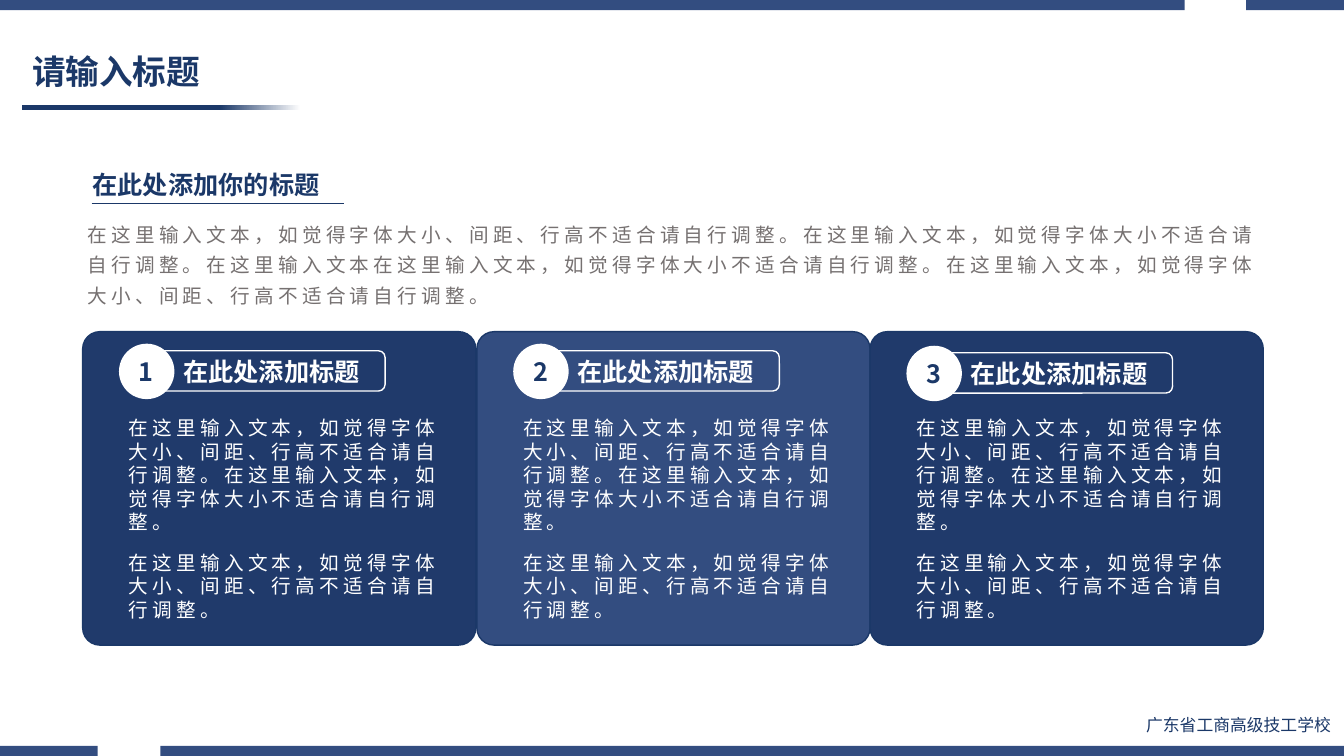
"""Builds a slide with a heading, an introduction and three numbered cards."""
from lxml import etree
from pptx import Presentation
from pptx.dml.color import RGBColor
from pptx.enum.shapes import MSO_CONNECTOR, MSO_SHAPE as SHAPE
from pptx.enum.text import MSO_ANCHOR as ANCHOR
from pptx.oxml.ns import qn
from pptx.util import Inches, Pt

NAVY = RGBColor(0x1B, 0x38, 0x68)
CARD_NAVY = RGBColor(0x20, 0x3A, 0x6B)
BLUE = RGBColor(0x33, 0x4D, 0x80)
GRAY = RGBColor(0x76, 0x71, 0x71)
WHITE = RGBColor(0xFF, 0xFF, 0xFF)
FONT = "Noto Sans CJK SC"

ADVICE = "在这里输入文本，如觉得字体大小、间距、行高不适合请自行调整。"
SHORT_ADVICE = "在这里输入文本，如觉得字体大小不适合请自行调整。"
INTRO = ADVICE + SHORT_ADVICE + "在这里输入文本" + SHORT_ADVICE + ADVICE

deck = Presentation()
deck.slide_width, deck.slide_height = Inches(13.33), Inches(7.5)
slide = deck.slides.add_slide(deck.slide_layouts[6])
shapes = slide.shapes


def add_text(box, paragraphs, size, color, bold=False, tracking=0, spacing=None, gap=0, anchor=ANCHOR.TOP):
    frame = shapes.add_textbox(*map(Inches, box)).text_frame
    frame.word_wrap = True
    frame.vertical_anchor = anchor
    for index, words in enumerate(paragraphs):
        paragraph = frame.add_paragraph() if index else frame.paragraphs[0]
        paragraph.line_spacing = spacing
        paragraph.space_before = Pt(gap if index else 0)
        paragraph.space_after = Pt(gap)
        run = paragraph.add_run()
        run.text = words
        font = run.font
        font.size, font.bold, font.name = Pt(size), bold, FONT
        font.color.rgb = color
        properties = run._r.get_or_add_rPr()
        properties.set("lang", "zh-CN")
        properties.set("spc", str(tracking * 100))
        etree.SubElement(properties, qn("a:ea")).set("typeface", FONT)


def add_panel(kind, box, fill=None, line=None):
    panel = shapes.add_shape(kind, *map(Inches, box))
    panel.shadow.inherit = False
    if fill is None:
        panel.fill.background()
    else:
        panel.fill.solid()
        panel.fill.fore_color.rgb = fill
    if line is None:
        panel.line.fill.background()
    else:
        panel.line.color.rgb = line
        panel.line.width = Pt(1)
    return panel


for top, spans in ((7.4, ((0, 0.97), (1.59, 13.33))), (0, ((0, 11.75), (12.36, 13.33)))):
    outline = shapes.build_freeform(0, Inches(top))
    for left, right in spans:
        outline.move_to(Inches(left), Inches(top))
        corners = ((right, top), (right, top + 0.1), (left, top + 0.1))
        outline.add_line_segments([(Inches(x), Inches(y)) for x, y in corners])
    band = outline.convert_to_shape()
    band.shadow.inherit = False
    band.fill.solid()
    band.fill.fore_color.rgb = BLUE
    band.line.fill.background()

add_text((11.27, 7.04, 2.04, 0.3), ["广东省工商高级技工学校"], 12, NAVY)
add_text((0.22, 0.45, 3.58, 0.56), ["请输入标题"], 24, NAVY, True, spacing=0.9, anchor=ANCHOR.MIDDLE)

title_rule = add_panel(SHAPE.RECTANGLE, (0.22, 1.04, 2.76, 0.05))
title_rule.fill.gradient()
title_rule.fill.gradient_angle = 0
for stop, position, color in zip(title_rule.fill.gradient_stops, (0.71, 1), (NAVY, WHITE)):
    stop.position = position
    stop.color.rgb = color

add_text((0.82, 1.63, 3.4, 0.4), ["在此处添加你的标题"], 18, NAVY, True)
heading_rule = shapes.add_connector(
    MSO_CONNECTOR.STRAIGHT, Inches(0.91), Inches(2.02), Inches(3.41), Inches(2.02))
heading_rule.line.color.rgb = NAVY
heading_rule.line.width = Pt(0.5)
etree.SubElement(heading_rule._element.spPr, qn("a:effectLst"))
add_text((0.77, 2.09, 11.94, 0.99), [INTRO], 14, GRAY, tracking=3, spacing=1.3, gap=6)

cards = ((0.82, CARD_NAVY, 0), (4.73, BLUE, 0), (8.63, CARD_NAVY, 0.02))
for number, (left, fill, drop) in enumerate(cards, 1):
    card = add_panel(SHAPE.ROUNDED_RECTANGLE, (left, 3.29, 3.9, 3.11), fill, NAVY)
    card.adjustments[0] = 0.055
    add_panel(SHAPE.ROUNDED_RECTANGLE, (left + 0.67, 3.48 + drop, 2.33, 0.4), line=WHITE)
    add_panel(SHAPE.OVAL, (left + 0.36, 3.41 + drop, 0.55, 0.55), WHITE)
    add_text((left + 0.46, 3.49 + drop, 0.26, 0.4), [str(number)], 18, NAVY, True)
    add_text((left + 0.9, 3.49 + drop, 2.11, 0.4), ["在此处添加标题"], 18, WHITE, True)
    add_text((left + 0.36, 4.08, 3.49, 2.15), [ADVICE + SHORT_ADVICE, ADVICE], 14, WHITE, tracking=3, gap=6)

deck.save("out.pptx")
